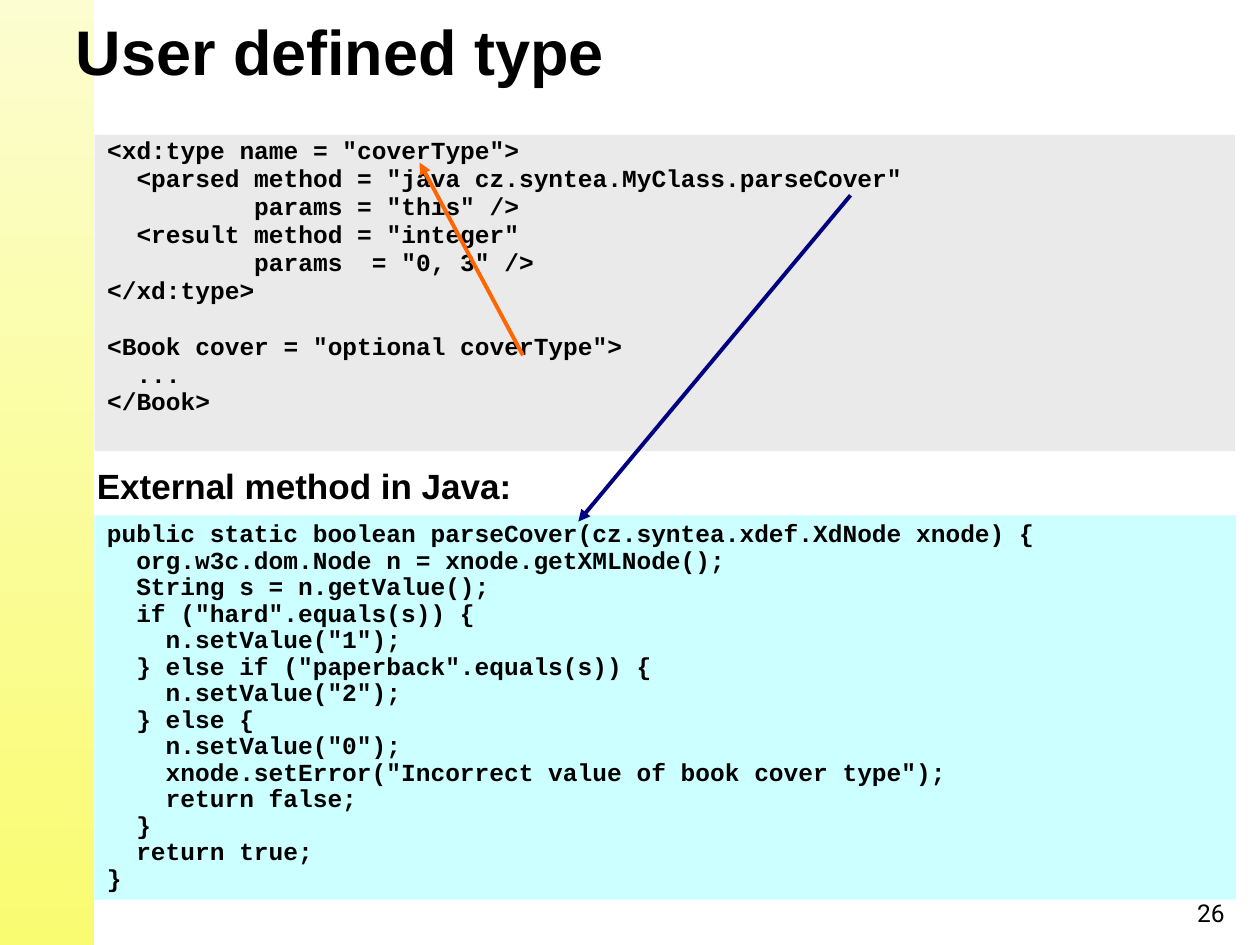
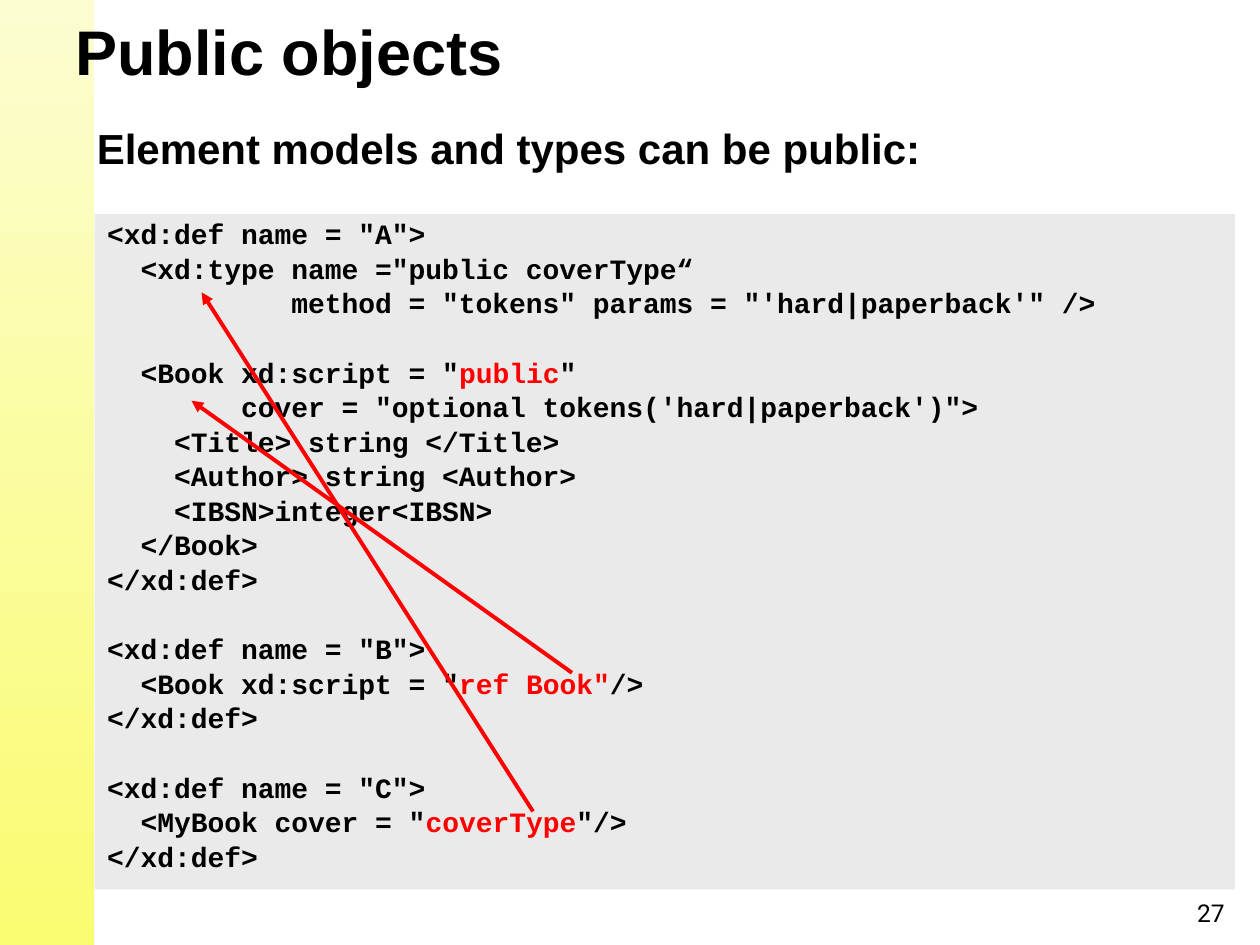
"""Build two slides on user defined types and public objects in X-definitions."""
from lxml import etree
from pptx import Presentation
from pptx.dml.color import RGBColor
from pptx.enum.shapes import MSO_CONNECTOR as CONN, MSO_SHAPE as SHAPE
from pptx.enum.text import MSO_ANCHOR as ANCHOR, MSO_AUTO_SIZE as AUTO, PP_ALIGN as ALIGN
from pptx.oxml.ns import qn
from pptx.util import Inches, Pt

COLORS = {
    "text": "000000", "band_top": "FCFDD0", "band_bottom": "F9FC70",
    "xml": "EAEAEA", "java": "CCFFFF",
    "orange": "FF6600", "navy": "000080", "red": "FF0000",
}
SANS, MONO, NUMBER = "Arial", "Courier New", "Roboto"
LINE_HEIGHT = 1.2
RED_MARK = "^"

TYPE_XML = """\
<xd:type name = "coverType">
  <parsed method = "java cz.syntea.MyClass.parseCover"
          params = "this" />
  <result method = "integer"
          params  = "0, 3" />
</xd:type>

<Book cover = "optional coverType">
  ...
</Book>"""

COVER_JAVA = """\
public static boolean parseCover(cz.syntea.xdef.XdNode xnode) {
  org.w3c.dom.Node n = xnode.getXMLNode();
  String s = n.getValue();
  if ("hard".equals(s)) {
    n.setValue("1");
  } else if ("paperback".equals(s)) {
    n.setValue("2");
  } else {
    n.setValue("0");
    xnode.setError("Incorrect value of book cover type");
    return false;
  }
  return true;
}"""

PUBLIC_XML = """\
<xd:def name = "A">
  <xd:type name ="public coverType“
           method = "tokens" params = "'hard|paperback'" />

  <Book xd:script = "^public^"
        cover = "optional tokens('hard|paperback')">
    <Title> string </Title>
    <Author> string <Author>
    <IBSN>integer<IBSN>
  </Book>
</xd:def>

<xd:def name = "B">
  <Book xd:script = "^ref Book"^/>
</xd:def>

<xd:def name = "C">
  <MyBook cover = "^coverType^"/>
</xd:def>"""

SLIDES = [
    {
        "title": "User defined type", "number": 26,
        "xml": {"code": TYPE_XML, "box": (0.75, 1.07, 9.05, 2.51), "size": 14, "spacing": 0.8},
        "java": {"code": COVER_JAVA, "box": (0.75, 4.09, 9.06, 3.05), "size": 14, "spacing": 0.9},
        "heading": ("External method in Java:", (0.67, 3.64, 8.53, 0.44), 20),
        "arrows": [((4.15, 2.82), (3.33, 1.29), "orange"), ((6.75, 1.55), (4.59, 4.14), "navy")],
    },
    {
        "title": "Public objects", "number": 27,
        "xml": {"code": PUBLIC_XML, "box": (0.75, 1.7, 9.05, 5.36), "size": 16, "spacing": 0.9},
        "heading": ("Element models and types can be public:", (0.67, 0.92, 8.53, 0.5), 24),
        "arrows": [((4.54, 5.34), (1.52, 3.18), "red"), ((4.23, 6.44), (1.6, 2.32), "red")],
    },
]


def rgb(name):
    return RGBColor.from_string(COLORS[name])


def place(sp, box):
    sp.left, sp.top, sp.width, sp.height = map(Inches, box)


def style(r, font, size, bold=True, color="text"):
    r.font.name, r.font.size, r.font.bold = font, Pt(size), bold
    r.font.color.rgb = rgb(color)


def write_line(sp, text, font, size, bold=True, align=ALIGN.LEFT, anchor=ANCHOR.TOP):
    tf = sp.text_frame
    tf.word_wrap, tf.auto_size, tf.vertical_anchor = True, AUTO.NONE, anchor
    tf.text = text
    p = tf.paragraphs[0]
    p.alignment = align
    style(p.runs[0], font, size, bold)


def add_label(s, text, box, *args, **kwargs):
    write_line(s.shapes.add_textbox(*map(Inches, box)), text, *args, **kwargs)


def write_code(sp, fill, code, box, size, spacing, before=0.0, hang=0.0):
    place(sp, box)
    sp.fill.solid()
    sp.fill.fore_color.rgb = rgb(fill)
    tf = sp.text_frame
    tf.word_wrap, tf.auto_size, tf.vertical_anchor = True, AUTO.NONE, ANCHOR.TOP
    pitch = size * LINE_HEIGHT * spacing + before
    p, gap = tf.paragraphs[0], 0
    for i, line in enumerate(code.splitlines()):
        if not line:
            gap = pitch
            continue
        if i:
            p = tf.add_paragraph()
        pPr = p._p.get_or_add_pPr()
        pPr.set("marL", str(Inches(hang)))
        pPr.set("indent", str(-Inches(hang)))
        p.alignment, p.line_spacing = ALIGN.LEFT, spacing
        p.space_before = Pt(before + gap if i else 0)
        etree.SubElement(pPr, qn("a:buNone"))
        for k, part in enumerate(line.split(RED_MARK)):
            r = p.add_run()
            r.text = part
            style(r, MONO, size, color="red" if k % 2 else "text")
        gap = 0


def add_arrow(s, start, end, color):
    c = s.shapes.add_connector(CONN.STRAIGHT, *map(Inches, start + end))
    c.line.color.rgb = rgb(color)
    c.line.width = Pt(2.25)
    etree.SubElement(c.get_or_add_ln(), qn("a:tailEnd"), type="triangle")
    etree.SubElement(c.element.spPr, qn("a:effectLst"))


def add_master_band(prs, s):
    band = s.shapes.add_shape(SHAPE.RECTANGLE, 0, 0, Inches(0.75), prs.slide_height)
    band.shadow.inherit = False
    band.line.fill.background()
    band.fill.gradient()
    band.fill.gradient_angle = 270
    for stop, name in zip(band.fill.gradient_stops, ("band_top", "band_bottom")):
        stop.color.rgb = rgb(name)
    tree = prs.slide_master.placeholders[0].element.getparent()
    tree.insert(2, band.element)


def add_slide(prs, data):
    s = prs.slides.add_slide(prs.slide_layouts[1])
    title, body = s.placeholders
    place(title, (0.5, 0.01, 9.25, 0.74))
    write_line(title, data["title"], SANS, 36, anchor=ANCHOR.BOTTOM)
    write_code(body, "xml", **data["xml"], before=2.5, hang=0.38)
    if "java" in data:
        write_code(s.shapes.add_textbox(0, 0, 0, 0), "java", **data["java"])
    text, box, size = data["heading"]
    add_label(s, text, box, SANS, size)
    for arrow in data["arrows"]:
        add_arrow(s, *arrow)
    add_label(s, str(data["number"]), (7.76, 7, 2.06, 0.48), NUMBER, 14, bold=False,
              align=ALIGN.RIGHT, anchor=ANCHOR.MIDDLE)
    return s


def main():
    prs = Presentation()
    prs.slide_width, prs.slide_height = Inches(10), Inches(7.5)
    slides = [add_slide(prs, data) for data in SLIDES]
    add_master_band(prs, slides[0])
    prs.save("out.pptx")


if __name__ == "__main__":
    main()
